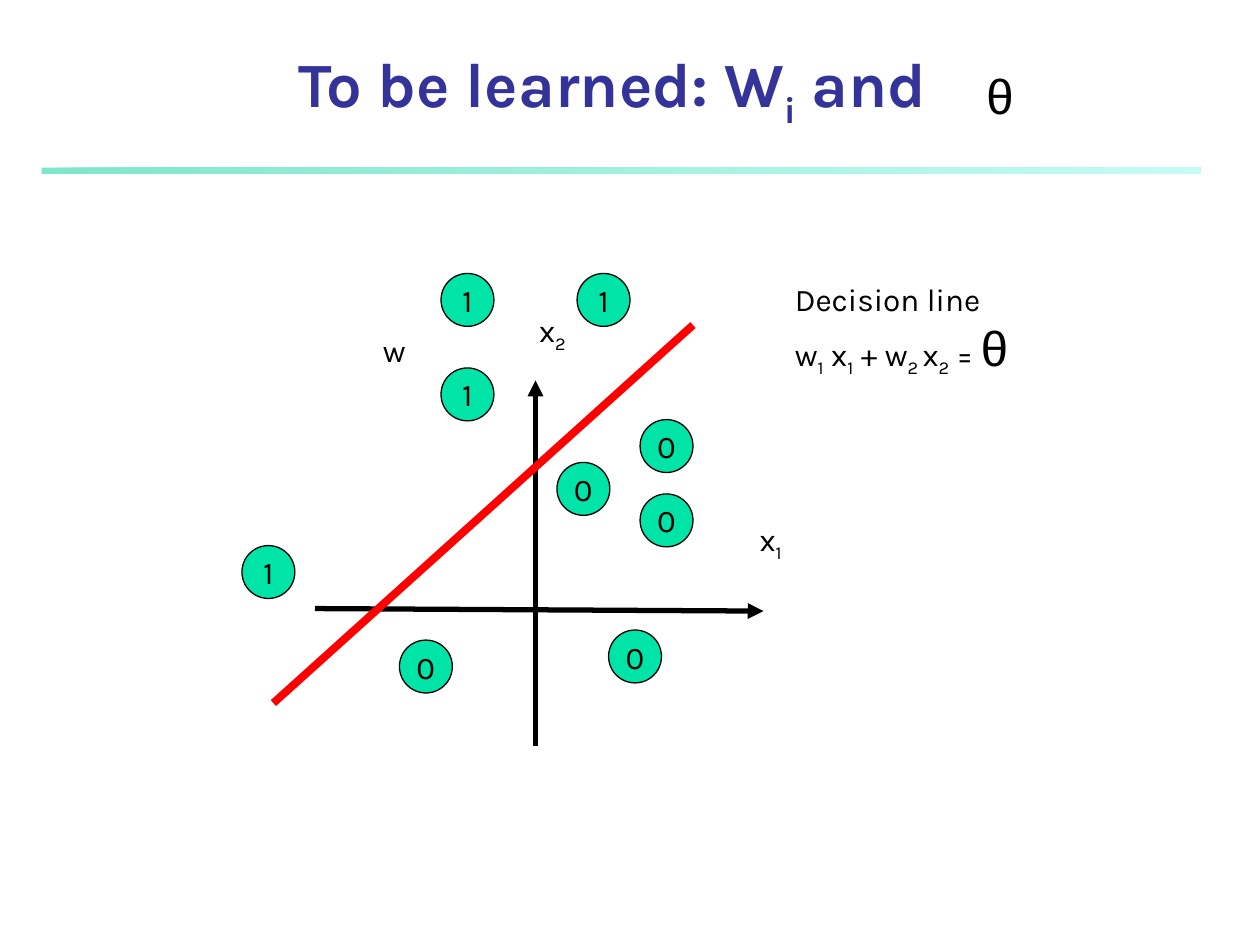
from dataclasses import dataclass

import pptx
import pptx.dml.color
import pptx.enum.shapes
import pptx.enum.text
import pptx.oxml
import pptx.oxml.ns
import pptx.util

Inches = pptx.util.Inches
Pt = pptx.util.Pt
RGB = pptx.dml.color.RGBColor.from_string
MSO_SHAPE = pptx.enum.shapes.MSO_SHAPE
ALIGN = pptx.enum.text.PP_ALIGN
ANCHOR = pptx.enum.text.MSO_ANCHOR
AUTO_SIZE = pptx.enum.text.MSO_AUTO_SIZE


@dataclass(frozen=True)
class Theme:
    font: str = "Karla"
    greek_font: str = "Arial"
    title_color: str = "333399"
    ink: str = "000000"
    point_fill: str = "00E4A8"
    decision: str = "FF0000"
    rule_left: str = "00CE98"
    rule_right: str = "8FF9EF"
    title_size: float = 36
    body_size: float = 18
    greek_size: float = 28


@dataclass(frozen=True)
class Run:
    text: str
    sub: bool = False
    greek: bool = False


@dataclass(frozen=True)
class Label:
    x: float
    y: float
    w: float
    h: float
    lines: tuple[tuple[Run, ...], ...]
    wrap: bool = False


@dataclass(frozen=True)
class Point:
    x: float
    y: float
    value: str


@dataclass(frozen=True)
class Line:
    start: tuple[float, float]
    end: tuple[float, float]
    color: str
    width: float
    arrow: bool = False


THEME = Theme()
DIAMETER = 0.42
THETA = Run("θ", greek=True)

LINES = (
    Line((4.25, 3.02), (4.25, 5.92), THEME.ink, 3, arrow=True),
    Line((6.06, 4.85), (2.5, 4.83), THEME.ink, 3, arrow=True),
    Line((2.17, 5.58), (5.5, 2.58), THEME.decision, 4.5),
)

LABELS = (
    Label(5.93, 4.08, 0.41, 0.44, ((Run("x"), Run("1", sub=True)),)),
    Label(4.18, 2.42, 0.41, 0.44, ((Run("x"), Run("2", sub=True)),)),
    Label(6.21, 2.17, 2.04, 0.88, (
        (Run("Decision line"),),
        (Run("w"), Run("1", sub=True), Run(" x"), Run("1", sub=True),
         Run(" + w"), Run("2 ", sub=True), Run("x"), Run("2", sub=True),
         Run(" = "), THETA),
    )),
    Label(2.94, 2.58, 0.39, 0.4, ((Run("w"),),)),
    Label(7.73, 0.47, 0.92, 0.57, ((THETA,),), wrap=True),
)

POINTS = (
    Point(3.5, 2.92, "1"), Point(3.5, 2.17, "1"), Point(4.58, 2.17, "1"),
    Point(5.08, 3.33, "0"), Point(5.08, 3.92, "0"), Point(4.83, 5, "0"),
    Point(3.17, 5.08, "0"), Point(4.42, 3.67, "0"), Point(1.92, 4.33, "1"),
)


def add_run(p, text: str, *, size: float = THEME.body_size, font: str = THEME.font,
            color: str = THEME.ink, bold: bool = False, sub: bool = False) -> None:
    r = p.add_run()
    r.text = text
    r.font.size = Pt(size)
    r.font.name = font
    r.font.bold = bold
    r.font.color.rgb = RGB(color)
    if sub:
        r._r.get_or_add_rPr().set("baseline", "-25000")


def add_rule(slide) -> None:
    sp = slide.shapes.add_shape(MSO_SHAPE.RECTANGLE, Inches(0.33), Inches(1.33),
                                Inches(9.2), Inches(0.05))
    sp.shadow.inherit = False
    sp.fill.gradient()
    sp.fill.gradient_angle = 0
    for stop, color in zip(sp.fill.gradient_stops, (THEME.rule_left, THEME.rule_right)):
        stop.color.rgb = RGB(color)
    # Half-transparent gradient stops
    for clr in sp.element.spPr.iter(pptx.oxml.ns.qn("a:srgbClr")):
        alpha = pptx.oxml.parse_xml(
            f'<a:alpha {pptx.oxml.ns.nsdecls("a")} val="50000"/>')
        clr.append(alpha)
    sp.line.fill.background()


def add_title(slide) -> None:
    sp = slide.shapes.title
    sp.left, sp.top = Inches(0.33), Inches(0.42)
    sp.width, sp.height = Inches(9.19), Inches(0.67)
    tf = sp.text_frame
    tf.auto_size = AUTO_SIZE.NONE
    tf.vertical_anchor = ANCHOR.BOTTOM
    p = tf.paragraphs[0]
    p.alignment = ALIGN.CENTER
    for run in (Run("To be learned: W"), Run("i", sub=True), Run(" and ")):
        add_run(p, run.text, size=THEME.title_size, color=THEME.title_color,
                bold=True, sub=run.sub)


def add_line(slide, line: Line) -> None:
    cxn = slide.shapes.add_connector(pptx.enum.shapes.MSO_CONNECTOR.STRAIGHT,
                                     *map(Inches, line.start + line.end))
    cxn.line.color.rgb = RGB(line.color)
    cxn.line.width = Pt(line.width)
    ns = pptx.oxml.ns.nsdecls("a")
    if line.arrow:
        cxn.line._get_or_add_ln().append(
            pptx.oxml.parse_xml(f'<a:headEnd {ns} type="triangle"/>'))
    cxn._element.spPr.append(pptx.oxml.parse_xml(f"<a:effectLst {ns}/>"))


def add_label(slide, label: Label) -> None:
    sp = slide.shapes.add_textbox(Inches(label.x), Inches(label.y),
                                  Inches(label.w), Inches(label.h))
    tf = sp.text_frame
    tf.word_wrap = label.wrap
    tf.auto_size = AUTO_SIZE.SHAPE_TO_FIT_TEXT
    for i, line in enumerate(label.lines):
        p = tf.add_paragraph() if i else tf.paragraphs[0]
        for run in line:
            greek = {"size": THEME.greek_size, "font": THEME.greek_font} if run.greek else {}
            add_run(p, run.text, sub=run.sub, **greek)


def add_point(slide, point: Point) -> None:
    sp = slide.shapes.add_shape(MSO_SHAPE.OVAL, Inches(point.x), Inches(point.y),
                                Inches(DIAMETER), Inches(DIAMETER))
    sp.shadow.inherit = False
    sp.fill.solid()
    sp.fill.fore_color.rgb = RGB(THEME.point_fill)
    sp.line.color.rgb = RGB(THEME.ink)
    sp.line.width = Pt(0.75)
    tf = sp.text_frame
    tf.word_wrap = False
    tf.vertical_anchor = ANCHOR.MIDDLE
    p = tf.paragraphs[0]
    p.alignment = ALIGN.CENTER
    add_run(p, point.value)


def main() -> None:
    prs = pptx.Presentation()
    prs.slide_width, prs.slide_height = Inches(10), Inches(7.5)
    s = prs.slides.add_slide(prs.slide_layouts[5])

    # Heading
    add_rule(s)
    add_title(s)

    # Axes, decision line, labels and classified points
    for line in LINES:
        add_line(s, line)
    for label in LABELS:
        add_label(s, label)
    for point in POINTS:
        add_point(s, point)

    prs.save("out.pptx")


if __name__ == "__main__":
    main()
